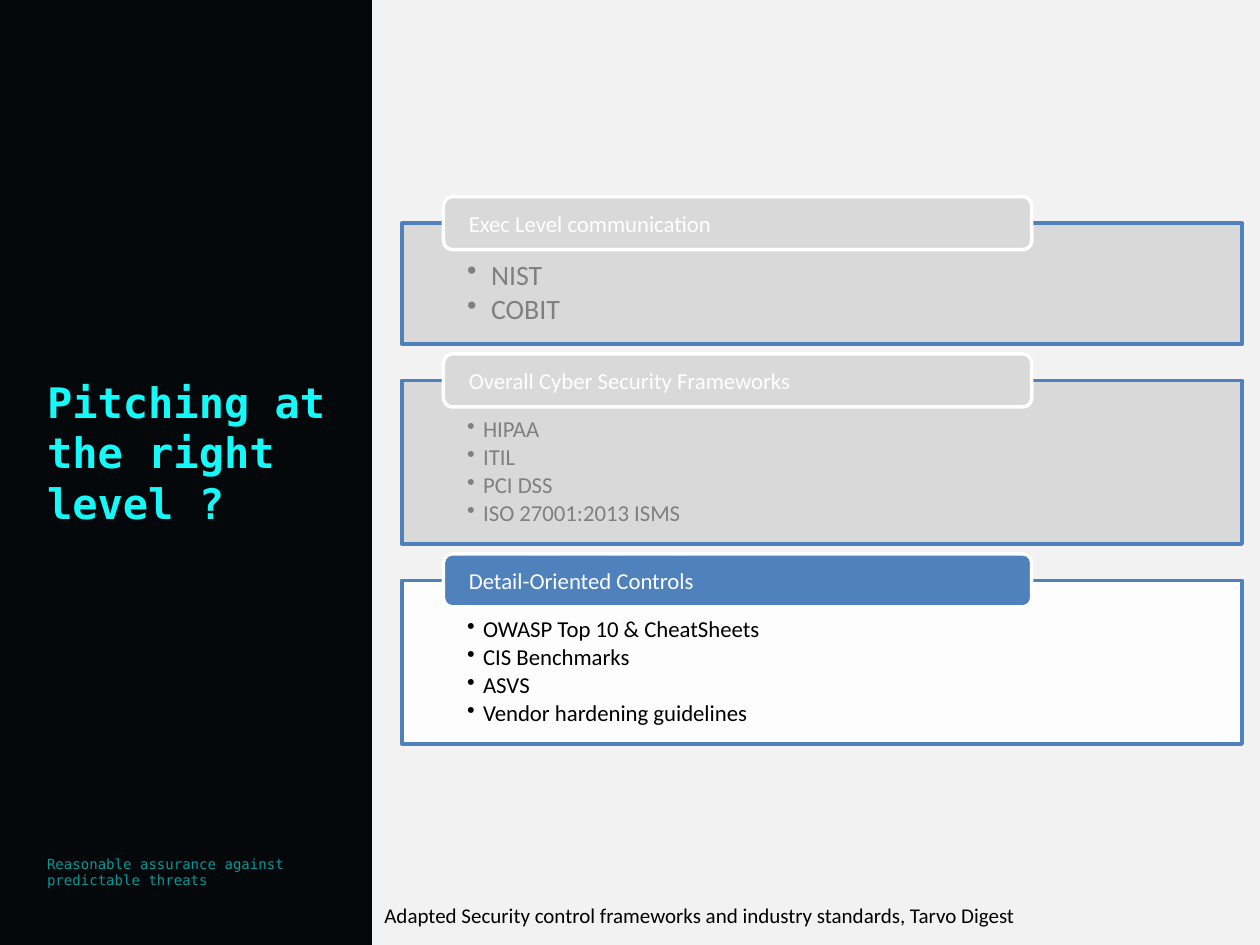
from dataclasses import dataclass

from lxml import etree
from pptx import Presentation
from pptx.dml.color import RGBColor
from pptx.enum.shapes import MSO_SHAPE
from pptx.enum.text import MSO_ANCHOR, PP_ALIGN
from pptx.oxml.ns import qn
from pptx.util import Cm, Pt

RECT, ROUND = MSO_SHAPE.RECTANGLE, MSO_SHAPE.ROUNDED_RECTANGLE
TOP, MIDDLE = MSO_ANCHOR.TOP, MSO_ANCHOR.MIDDLE
LEFT = PP_ALIGN.LEFT


@dataclass(frozen=True)
class Theme:
    body: str = "Calibri"
    mono: str = "DejaVu Sans Mono"
    back: str = "F2F2F2"
    side: str = "05080A"
    title: str = "16F9F9"
    tagline: str = "049996"
    accent: str = "4F81BD"
    muted: str = "D9D9D9"
    muted_text: str = "808080"
    white: str = "FFFFFF"
    black: str = "000000"
    title_pt: int = 24
    large_pt: int = 16
    item_pt: int = 13
    caption_pt: int = 12
    tagline_pt: int = 8


T = Theme()


def add_box(shape, x, y, w, h, fill, line=None):
    sp = s.shapes.add_shape(shape, Cm(x), Cm(y), Cm(w), Cm(h))
    sp.shadow.inherit = False
    sp.fill.solid()
    sp.fill.fore_color.rgb = RGBColor.from_string(fill)
    if line:
        sp.line.color.rgb = RGBColor.from_string(line)
        sp.line.width = Pt(2)
    else:
        sp.line.fill.background()
    return sp


def write(sp, lines, size, color, font=T.body, bold=False, anchor=MIDDLE,
          wrap=True, insets=(0.25, 0.13), bullet=0):
    tf = sp.text_frame
    tf.word_wrap = wrap
    tf.vertical_anchor = anchor
    tf.margin_left = tf.margin_right = Cm(insets[0])
    tf.margin_top = tf.margin_bottom = Cm(insets[1])
    for i, line in enumerate(lines):
        p = tf.paragraphs[0] if i == 0 else tf.add_paragraph()
        p.alignment = LEFT
        if bullet:
            p.line_spacing = 0.9
            p.space_after = Pt(round(size * 0.15, 1))
            pPr = p._p.get_or_add_pPr()
            pPr.set("marL", str(Cm(bullet)))
            pPr.set("indent", str(-Cm(bullet)))
            etree.SubElement(pPr, qn("a:buChar")).set("char", "•")
        r = p.add_run()
        r.text = line
        r.font.name = font
        r.font.size = Pt(size)
        r.font.bold = bold
        r.font.color.rgb = RGBColor.from_string(color)


prs = Presentation()
prs.slide_width, prs.slide_height = Cm(25.4), Cm(19.05)
s = prs.slides.add_slide(prs.slide_layouts[6])
s.background.fill.solid()
s.background.fill.fore_color.rgb = RGBColor.from_string(T.back)

# Side panel with tagline and title
add_box(RECT, 0, 0, 7.5, 19.05, T.side)
tagline = s.shapes.add_textbox(Cm(0.7), Cm(16.71), Cm(5.42), Cm(1.73))
write(tagline, ["Reasonable assurance against predictable threats"],
      T.tagline_pt, T.tagline, T.mono)
title = s.shapes.add_textbox(Cm(0.7), Cm(6.48), Cm(6.2), Cm(5.26))
write(title, ["Pitching at the right level ?"], T.title_pt, T.title, T.mono, bold=True)

# Source caption
caption = s.shapes.add_textbox(Cm(7.5), Cm(18.06), Cm(13.6), Cm(0.76))
write(caption, ["Adapted Security control frameworks and industry standards, Tarvo Digest"],
      T.caption_pt, T.black, anchor=TOP, wrap=False)

# Framework levels: heading, items, height, item size, bullet indent, active
levels = [
    ("Exec Level communication", ["NIST", "COBIT"], 2.44, T.large_pt, 0.48, False),
    ("Overall Cyber Security Frameworks",
     ["HIPAA", "ITIL", "PCI DSS", "ISO 27001:2013 ISMS"], 3.3, T.item_pt, 0.32, False),
    ("Detail-Oriented Controls",
     ["OWASP Top 10 & CheatSheets", "CIS Benchmarks", "ASVS",
      "Vendor hardening guidelines"], 3.3, T.item_pt, 0.32, True),
]
panel_x, panel_w, gap = 8.1, 16.94, 0.73
head_x, head_w, head_h = 8.94, 11.86, 1.07
y = 4.5
for heading, items, height, size, bullet, active in levels:
    panel = add_box(RECT, panel_x, y, panel_w, height,
                    T.white if active else T.muted, T.accent)
    if active:
        clr = panel.fill._xPr.find(qn("a:solidFill"))[0]
        etree.SubElement(clr, qn("a:alpha")).set("val", "90000")
    write(panel, items, size, T.black if active else T.muted_text,
          anchor=TOP, insets=(1.32, 0.76), bullet=bullet)
    panel.text_frame.margin_bottom = Cm(0.25)

    head = add_box(ROUND, head_x, y - head_h / 2, head_w, head_h,
                   T.accent if active else T.muted, T.white)
    write(head, [heading], T.item_pt, T.white, insets=(0.46, 0))
    y += height + gap

prs.save("out.pptx")
